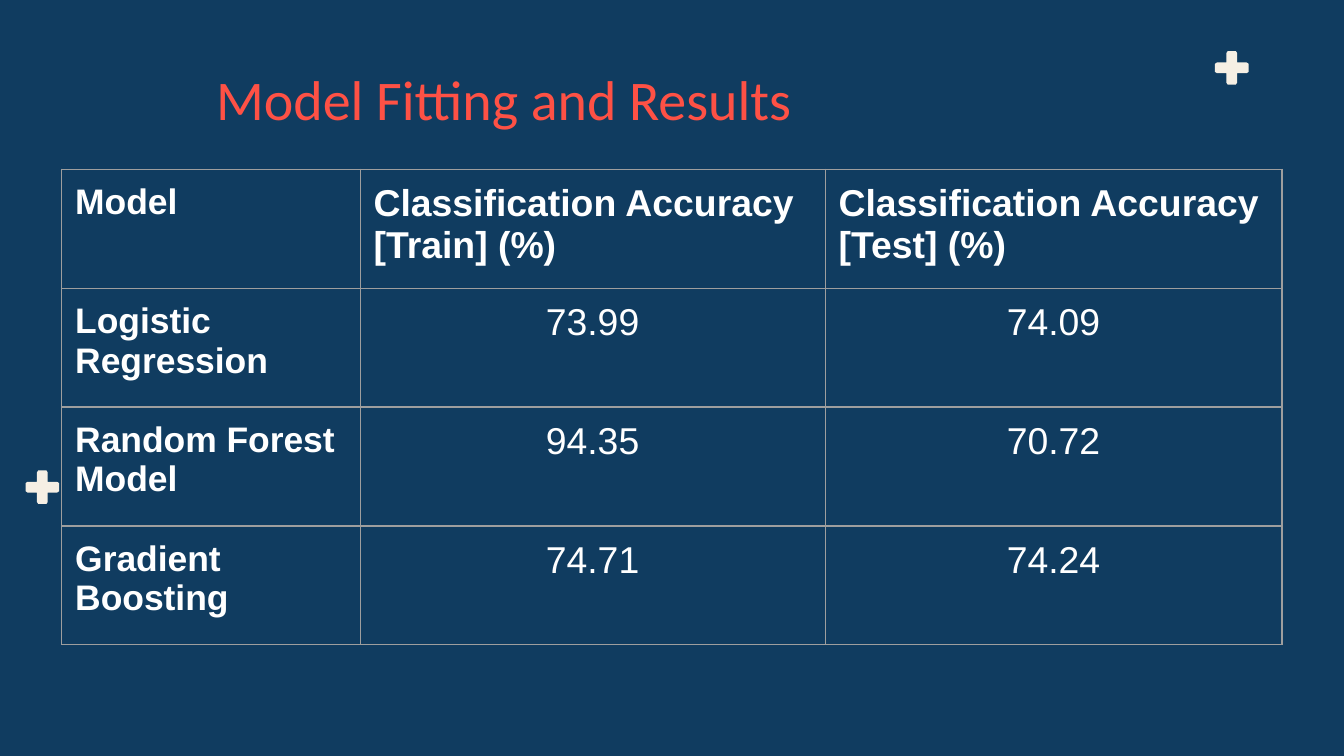
"""Build the slide that compares the accuracy of three fitted models."""
from lxml import etree
from pptx import Presentation, util as u
from pptx.dml.color import RGBColor
from pptx.enum import text
from pptx.oxml.ns import qn

COLORS = {
    "background": "103C60",
    "plus": "F6EFE4",
    "title": "FE5145",
    "text": "FFFFFF",
    "border": "9E9E9E",
}
SLIDE_WIDTH = 10
SLIDE_HEIGHT = SLIDE_WIDTH * 9 / 16
TITLE_FONT = {"name": "Calibri", "size": u.Pt(30), "bold": False}
LABEL_FONT = {"name": "Arial", "size": u.Pt(19), "bold": True}
HEADER_FONT = {**LABEL_FONT, "size": u.Pt(20)}
VALUE_FONT = {**HEADER_FONT, "bold": False}
MARGINS = {
    f"margin_{side}": u.Inches(0.1) for side in ("left", "top", "right", "bottom")
}

PLUS_CORNERS = [(9.04, 0.38), (0.19, 3.5)]
PLUS_REACH = 0.25 / 2
PLUS_ARM = [
    (-0.04, -0.04), (-0.04, -0.11), (-0.03, -PLUS_REACH),
    (0.03, -PLUS_REACH), (0.04, -0.11),
]
COLUMN_WIDTHS = [2.22, 3.46, 3.4]
TABLE_HEIGHT = 3.54
ROWS = [
    ["Model", "Classification Accuracy\n[Train] (%)", "Classification Accuracy\n[Test] (%)"],
    ["Logistic Regression", "73.99", "74.09"],
    ["Random Forest Model", "94.35", "70.72"],
    ["Gradient Boosting", "74.71", "74.24"],
]


def set_attributes(target, values):
    """Set each named value on the target."""
    for name, value in values.items():
        setattr(target, name, value)


def fill_solid(fill, color):
    """Give a fill one of the named colours."""
    fill.solid()
    fill.fore_color.rgb = RGBColor.from_string(COLORS[color])


def format_paragraphs(frame, font, color, alignment):
    """Apply one font, colour and alignment to every paragraph."""
    for paragraph in frame.paragraphs:
        paragraph.alignment = alignment
        for run in paragraph.runs:
            set_attributes(run.font, font)
            run.font.color.rgb = RGBColor.from_string(COLORS[color])


def add_plus(slide, left, top):
    """Draw a plus with clipped corners by turning one arm four times."""
    center_x, center_y = left + PLUS_REACH, top + PLUS_REACH
    points, arm = [], PLUS_ARM
    for _ in range(4):
        points += [(u.Inches(center_x + x), u.Inches(center_y + y)) for x, y in arm]
        arm = [(-y, x) for x, y in arm]
    builder = slide.shapes.build_freeform(*points[0])
    builder.add_line_segments(points[1:], close=True)
    shape = builder.convert_to_shape()
    shape.shadow.inherit = False
    shape.line.fill.background()
    fill_solid(shape.fill, "plus")


def add_title(slide, wording):
    """Add the slide title, centred vertically in its box."""
    box = slide.shapes.add_textbox(
        u.Inches(1.51), u.Inches(0.27), u.Inches(6.97), u.Inches(0.92)
    )
    frame = box.text_frame
    frame.text = wording
    set_attributes(
        frame,
        {**MARGINS, "word_wrap": True, "vertical_anchor": text.MSO_ANCHOR.MIDDLE},
    )
    format_paragraphs(frame, TITLE_FONT, "title", text.PP_ALIGN.LEFT)


def add_borders(cell):
    """Draw a thin line on all four sides of a cell."""
    properties = cell._tc.get_or_add_tcPr()
    for index, side in enumerate(("a:lnL", "a:lnR", "a:lnT", "a:lnB")):
        line = etree.Element(qn(side), w=str(u.Pt(0.75)))
        fill = etree.SubElement(line, qn("a:solidFill"))
        etree.SubElement(fill, qn("a:srgbClr"), val=COLORS["border"])
        properties.insert(index, line)


def add_results_table(slide):
    """Add the table of train and test accuracy for each model."""
    table = slide.shapes.add_table(
        len(ROWS), len(COLUMN_WIDTHS),
        u.Inches(0.46), u.Inches(1.26),
        u.Inches(sum(COLUMN_WIDTHS)), u.Inches(TABLE_HEIGHT),
    ).table
    set_attributes(table, {"first_row": False, "horz_banding": False})
    for column, width in zip(table.columns, COLUMN_WIDTHS):
        column.width = u.Inches(width)
    for row_index, row in enumerate(ROWS):
        for column_index, wording in enumerate(row):
            cell = table.cell(row_index, column_index)
            cell.text = wording
            set_attributes(cell, MARGINS)
            cell.fill.background()
            add_borders(cell)
            font, alignment = VALUE_FONT, text.PP_ALIGN.CENTER
            if column_index == 0:
                font, alignment = LABEL_FONT, text.PP_ALIGN.LEFT
            elif row_index == 0:
                font, alignment = HEADER_FONT, text.PP_ALIGN.LEFT
            format_paragraphs(cell.text_frame, font, "text", alignment)


def main():
    """Build and save the slide."""
    presentation = Presentation()
    set_attributes(
        presentation,
        {
            "slide_width": u.Inches(SLIDE_WIDTH),
            "slide_height": u.Inches(SLIDE_HEIGHT),
        },
    )
    slide = presentation.slides.add_slide(presentation.slide_layouts[6])
    fill_solid(slide.background.fill, "background")
    for corner in PLUS_CORNERS:
        add_plus(slide, *corner)
    add_title(slide, "Model Fitting and Results")
    add_results_table(slide)
    presentation.save("out.pptx")


if __name__ == "__main__":
    main()
